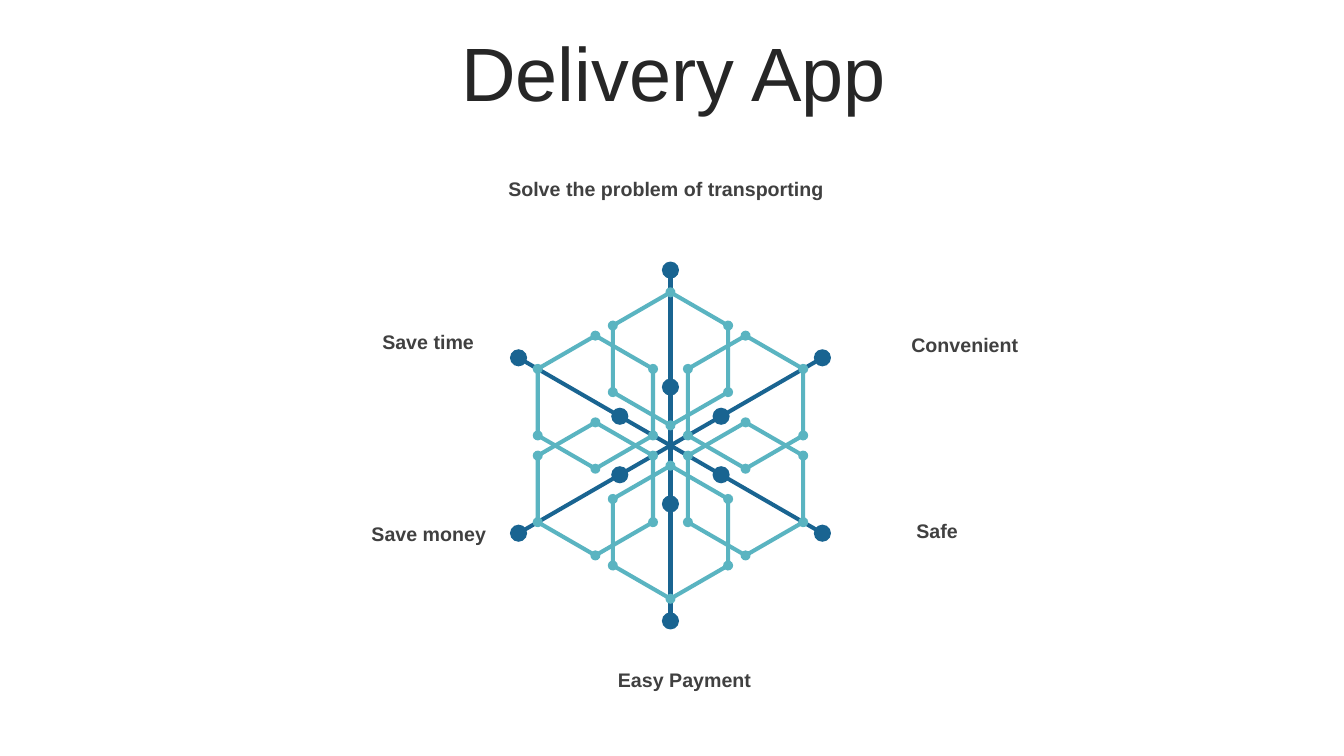
from math import cos, radians, sin

from lxml.etree import SubElement
from pptx import Presentation
from pptx.dml.color import RGBColor
from pptx.enum.shapes import MSO_CONNECTOR, MSO_SHAPE
from pptx.enum.text import MSO_ANCHOR, PP_ALIGN
from pptx.oxml.ns import qn
from pptx.util import Inches, Pt

BLUE = "196491"
TEAL = "5AB4C1"
MID = (6.65, 4.42)
LABELS = [
    ("Easy Payment", 6.03, 6.58, PP_ALIGN.LEFT),
    ("Convenient", 8.94, 3.25, PP_ALIGN.LEFT),
    ("Safe", 8.99, 5.1, PP_ALIGN.LEFT),
    ("Save time", 0.78, 3.22, PP_ALIGN.RIGHT),
    ("Save money", 0.9, 5.13, PP_ALIGN.RIGHT),
    ("Solve the problem of transporting", 4.25, 1.71, PP_ALIGN.RIGHT),
]


def color(value):
    return RGBColor.from_string(value)


def polar(center, radius, angle):
    turn = radians(angle)
    return center[0] + radius * cos(turn), center[1] + radius * sin(turn)


def paint(shape, tint):
    shape.shadow.inherit = False
    shape.fill.solid()
    shape.fill.fore_color.rgb = color(tint)
    shape.line.fill.background()


def add_text(slide, words, box, size, tint, align, bold=False):
    shape = slide.shapes.add_textbox(*map(Inches, box))
    frame = shape.text_frame
    frame.word_wrap = True
    para = frame.paragraphs[0]
    para.alignment = align
    run = para.add_run()
    run.text = words
    font = run.font
    font.name = "Arial"
    font.size = Pt(size)
    font.bold = bold
    font.color.rgb = color(tint)
    return frame


def add_dot(slide, center, size, tint):
    left, top = (Inches(axis - size / 2) for axis in center)
    dot = slide.shapes.add_shape(
        MSO_SHAPE.OVAL, left, top, Inches(size), Inches(size))
    paint(dot, tint)


def add_arm(slide, angle):
    start = polar(MID, 1.75, angle)
    end = polar(MID, 1.75, angle + 180)
    arm = slide.shapes.add_connector(
        MSO_CONNECTOR.STRAIGHT, *map(Inches, start + end))
    arm.line.color.rgb = color(BLUE)
    arm.line.width = Inches(0.04)
    SubElement(arm._element.spPr, qn("a:effectLst"))
    for radius in (-1.74, -0.58, 0.58, 1.74):
        add_dot(slide, polar(MID, radius, angle), 0.17, BLUE)


def outline(center, turns):
    return [
        tuple(map(Inches, polar(polar(center, 0.66, angle), 0.05, angle + turn)))
        for angle in range(30, 390, 60)
        for turn in turns
    ]


def add_hex(slide, center):
    outer = outline(center, (-96, -64, -32, 0, 32, 64, 96))
    inner = outline(center, (216, 180, 144))
    pen = slide.shapes.build_freeform(*outer[0])
    pen.add_line_segments(outer[1:], close=True)
    pen.move_to(*inner[0])
    pen.add_line_segments(inner[1:], close=True)
    paint(pen.convert_to_shape(), TEAL)


def main():
    deck = Presentation()
    deck.slide_width = Inches(13.33)
    deck.slide_height = Inches(7.5)
    slide = deck.slides.add_slide(deck.slide_layouts[6])

    title = add_text(slide, "Delivery App", (0.35, 0.37, 12.66, 0.79),
                     54, "262626", PP_ALIGN.CENTER)
    title.vertical_anchor = MSO_ANCHOR.MIDDLE
    title.paragraphs[0].line_spacing = 0.9
    title.paragraphs[0].space_before = Pt(10)

    for angle in (90, -30, 30):
        add_arm(slide, angle)
    for angle in range(30, 390, 60):
        add_hex(slide, polar(MID, 0.86, angle))
    for words, left, top, align in LABELS:
        add_text(slide, words, (left, top, 4.02, 0.34),
                 14, "404040", align, True)
    deck.save("out.pptx")


if __name__ == "__main__":
    main()
